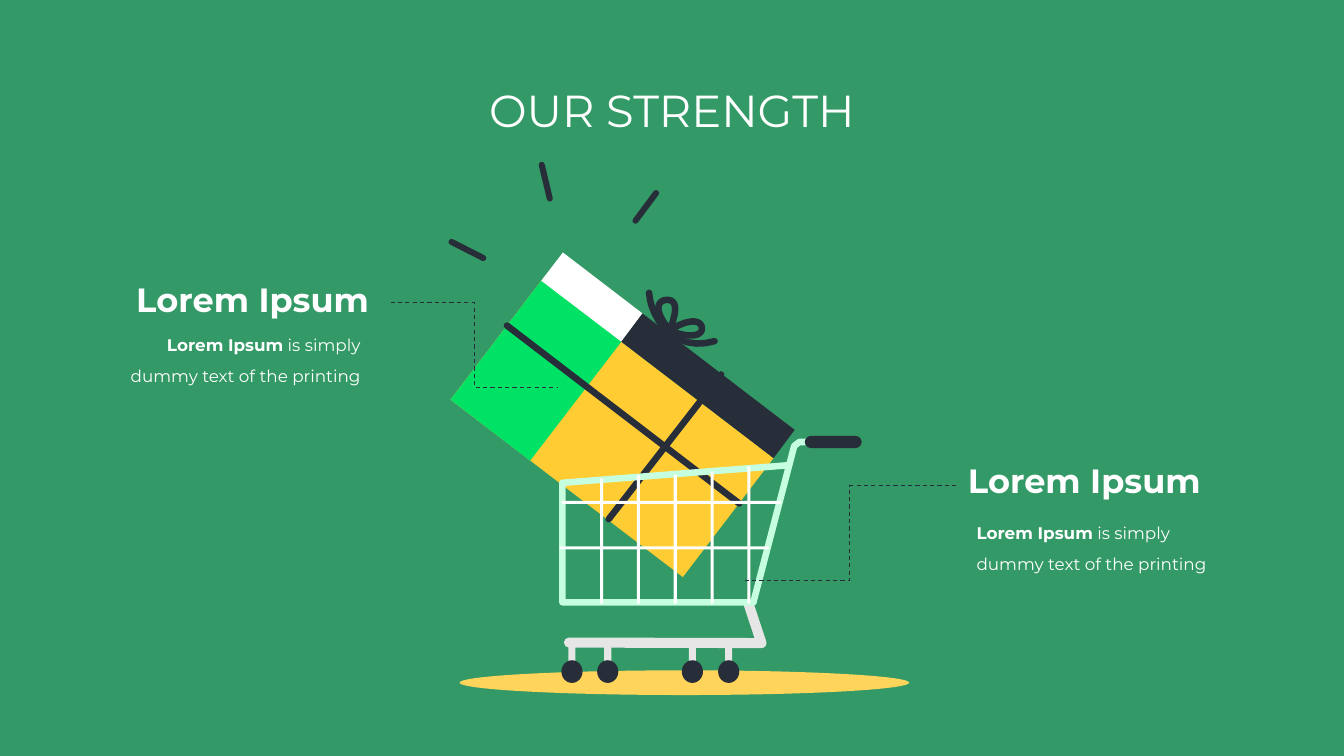
from lxml.etree import SubElement
from pptx import Presentation
from pptx.dml.color import RGBColor
from pptx.enum.dml import MSO_LINE
from pptx.enum.shapes import MSO_CONNECTOR, MSO_SHAPE
from pptx.enum.text import MSO_ANCHOR, MSO_AUTO_SIZE, PP_ALIGN
from pptx.oxml.ns import qn
from pptx.util import Inches, Pt

GREEN = RGBColor(0x33, 0x99, 0x66)
BRIGHT = RGBColor(0x00, 0xE2, 0x66)
MINT = RGBColor(0xC6, 0xFF, 0xE0)
YELLOW = RGBColor(0xFF, 0xCC, 0x33)
SAND = RGBColor(0xFF, 0xD4, 0x5B)
INK = RGBColor(0x27, 0x2E, 0x3A)
GREY = RGBColor(0xE7, 0xE6, 0xE6)
WHITE = RGBColor(0xFF, 0xFF, 0xFF)
COLUMNS, ROWS = 26.67, 15
CELL = Inches(1)


def cells(*lengths):
    """Turn grid columns and rows into slide units."""
    return [round(length * CELL) for length in lengths]


def curve(start, first, second, end, steps=12):
    """List the points of a cubic curve."""
    points = []
    for step in range(steps + 1):
        t = step / steps
        weights = ((1 - t) ** 3, 3 * t * (1 - t) ** 2, 3 * t * t * (1 - t), t ** 3)
        points.append(tuple(
            sum(w * p[axis] for w, p in zip(weights, (start, first, second, end)))
            for axis in (0, 1)))
    return points


class Board:
    """Hold the style and the current slide."""

    font = "Montserrat"

    def __init__(self, slide):
        """Start on a slide with a green background."""
        self.slide = slide
        self.shapes = slide.shapes
        slide.background.fill.solid()
        slide.background.fill.fore_color.rgb = GREEN

    def add_runs(self, paragraph, runs, size, align, spacing=None):
        """Fill a paragraph with (text, bold) runs."""
        paragraph.alignment = align
        paragraph.line_spacing = spacing
        for words, bold in runs:
            run = paragraph.add_run()
            run.text = words
            run.font.name = self.font
            run.font.size = Pt(size)
            run.font.bold = bold
            run.font.color.rgb = WHITE

    def title(self, words, box):
        """Place and format the title."""
        title = self.shapes.title
        title.left, title.top, title.width, title.height = cells(*box)
        title.text_frame.vertical_anchor = MSO_ANCHOR.MIDDLE
        self.add_runs(title.text_frame.paragraphs[0], [(words, False)], 64, PP_ALIGN.CENTER, 0.9)

    def text(self, runs, box, size, align, spacing=None, wrap=True, right=0.1):
        """Add a text box."""
        frame = self.shapes.add_textbox(*cells(*box)).text_frame
        frame.word_wrap = wrap
        frame.auto_size = MSO_AUTO_SIZE.SHAPE_TO_FIT_TEXT
        frame.margin_right = Inches(right)
        self.add_runs(frame.paragraphs[0], runs, size, align, spacing)

    def paint(self, shape, color):
        """Give a shape a plain fill."""
        shape.shadow.inherit = False
        shape.fill.solid()
        shape.fill.fore_color.rgb = color
        shape.line.fill.background()

    def oval(self, box, color):
        """Add an ellipse."""
        self.paint(self.shapes.add_shape(MSO_SHAPE.OVAL, *cells(*box)), color)

    def bar(self, box, color):
        """Add a bar with round ends."""
        bar = self.shapes.add_shape(MSO_SHAPE.ROUNDED_RECTANGLE, *cells(*box))
        bar.adjustments[0] = 0.5
        self.paint(bar, color)

    def outline(self, strokes, close):
        """Build a freeform from one or more point lists."""
        first, *others = [[cells(*point) for point in stroke] for stroke in strokes]
        builder = self.shapes.build_freeform(*first[0])
        builder.add_line_segments(first[1:], close=close)
        for stroke in others:
            builder.move_to(*stroke[0])
            builder.add_line_segments(stroke[1:], close=close)
        shape = builder.convert_to_shape()
        shape.shadow.inherit = False
        return shape

    def face(self, points, color):
        """Add a filled polygon."""
        self.paint(self.outline([points], True), color)

    def pen(self, shape, color, width):
        """Draw a shape's line with round ends and corners."""
        shape.line.color.rgb = color
        shape.line.width = Inches(width)
        line = shape._element.spPr.find(qn("a:ln"))
        line.set("cap", "rnd")
        SubElement(line, qn("a:round"))

    def tube(self, strokes, color, width):
        """Add an open bent or curved stroke."""
        shape = self.outline(strokes, False)
        shape.fill.background()
        self.pen(shape, color, width)

    def connector(self, kind, ends):
        """Add a connector without a shadow."""
        connector = self.shapes.add_connector(kind, *cells(*ends))
        connector.line.color.rgb = INK
        SubElement(connector._element.spPr, qn("a:effectLst"))
        return connector

    def rod(self, ends, width=0.13):
        """Add a straight line with round ends."""
        self.pen(self.connector(MSO_CONNECTOR.STRAIGHT, ends), INK, width)

    def leader(self, ends):
        """Add a dashed elbow line."""
        leader = self.connector(MSO_CONNECTOR.ELBOW, ends)
        leader.line.width = Pt(1.5)
        leader.line.dash_style = MSO_LINE.DASH


def draw_gift(board):
    """Draw the gift box with its ribbons and bow."""
    lid_left, lid_middle, lid_right = (11.17, 5.01), (12.75, 6.22), (15.77, 8.53)
    rim_left, rim_middle, rim_right = (10.74, 5.57), (12.33, 6.78), (15.35, 9.09)
    base_left, base_middle, base_right = (8.94, 7.93), (10.52, 9.14), (13.55, 11.45)
    board.face([rim_left, base_left, base_right, rim_right], YELLOW)
    board.face([rim_left, base_left, base_middle, rim_middle], BRIGHT)
    board.face([lid_left, rim_left, rim_middle, lid_middle], WHITE)
    board.face([lid_middle, rim_middle, rim_right, lid_right], INK)
    for ribbon in ((10.06, 6.46, 14.67, 9.99), (14.31, 7.43, 12.08, 10.3)):
        board.rod(ribbon)
    knot, top, side = (13.29, 6.55), (13.24, 5.95), (13.93, 6.5)
    board.tube([
        curve((12.88, 5.81), (12.92, 6.35), (13.4, 7), (14.18, 6.77)),
        curve(knot, (12.95, 6.15), (13.05, 5.95), top)
        + curve(top, (13.43, 5.95), (13.45, 6.15), knot),
        curve(knot, (13.65, 6.33), (13.9, 6.33), side)
        + curve(side, (13.95, 6.7), (13.6, 6.7), knot),
    ], INK, 0.13)


def draw_cart(board):
    """Draw the shopping cart."""
    axles = (11.35, 12.06, 13.74, 14.46)
    for axle in axles:
        board.bar((axle - 0.07, 12.7, 0.14, 0.7), GREY)
    board.tube([[(11.29, 12.75), (15.11, 12.76), (14.86, 12)]], GREY, 0.2)
    for axle in axles:
        board.oval((axle - 0.21, 13.1, 0.42, 0.45), INK)
    board.tube([[(14.95, 11.95), (15.76, 8.85), (15.86, 8.77), (16.07, 8.77)]], MINT, 0.13)
    board.tube([[(15.66, 9.23), (11.16, 9.58), (11.16, 11.95), (14.95, 11.95)]], MINT, 0.13)
    board.bar((15.97, 8.65, 1.13, 0.24), INK)
    for index, top in enumerate((9.49, 9.42, 9.42, 9.35, 9.25)):
        board.bar((11.91 + 0.73 * index, top, 0.06, 11.98 - top), WHITE)
    for left, top, width in ((11.14, 9.94, 4.36), (11.1, 10.84, 4.16)):
        board.bar((left, top, width, 0.06), WHITE)


def main():
    """Build the slide and save it."""
    deck = Presentation()
    deck.slide_width, deck.slide_height = cells(COLUMNS, ROWS)
    board = Board(deck.slides.add_slide(deck.slide_layouts[5]))
    board.title("OUR STRENGTH", (1.83, 0.8, 23, 2.9))

    board.oval((9.12, 13.3, 8.92, 0.49), SAND)
    draw_gift(board)
    draw_cart(board)
    for spark in ((10.75, 3.27, 10.91, 3.94), (8.96, 4.8, 9.59, 5.12), (13.02, 3.83, 12.61, 4.38)):
        board.rod(spark, 0.12)

    heading = [("Lorem Ipsum", True)]
    detail = heading + [(" is simply dummy text of the printing", False)]
    callouts = (
        ((7.75, 6.01, 11.07, 7.68), (2.53, 5.48, 5.09, 0.91), (1.83, 6.4, 5.42, 1.24),
         PP_ALIGN.RIGHT, 0.3),
        ((18.98, 9.64, 14.75, 11.51), (19.11, 9.07, 5.09, 0.91), (19.28, 10.13, 5.09, 1.24),
         PP_ALIGN.LEFT, 0.1),
    )
    for ends, heading_box, detail_box, align, margin in callouts:
        board.leader(ends)
        board.text(detail, detail_box, 24, align, spacing=1.5)
        board.text(heading, heading_box, 48, align, wrap=False, right=margin)
    deck.save("out.pptx")


if __name__ == "__main__":
    main()
